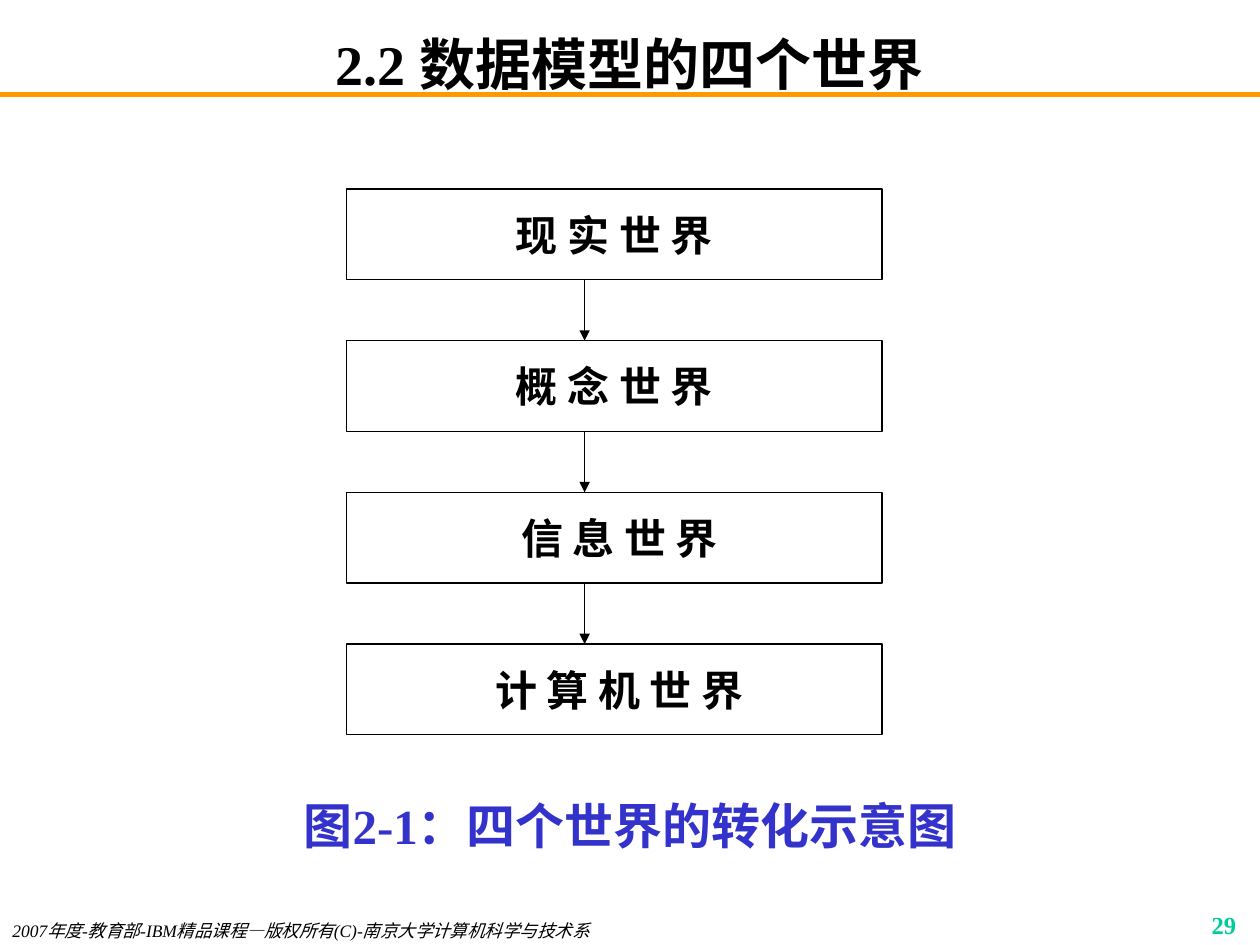
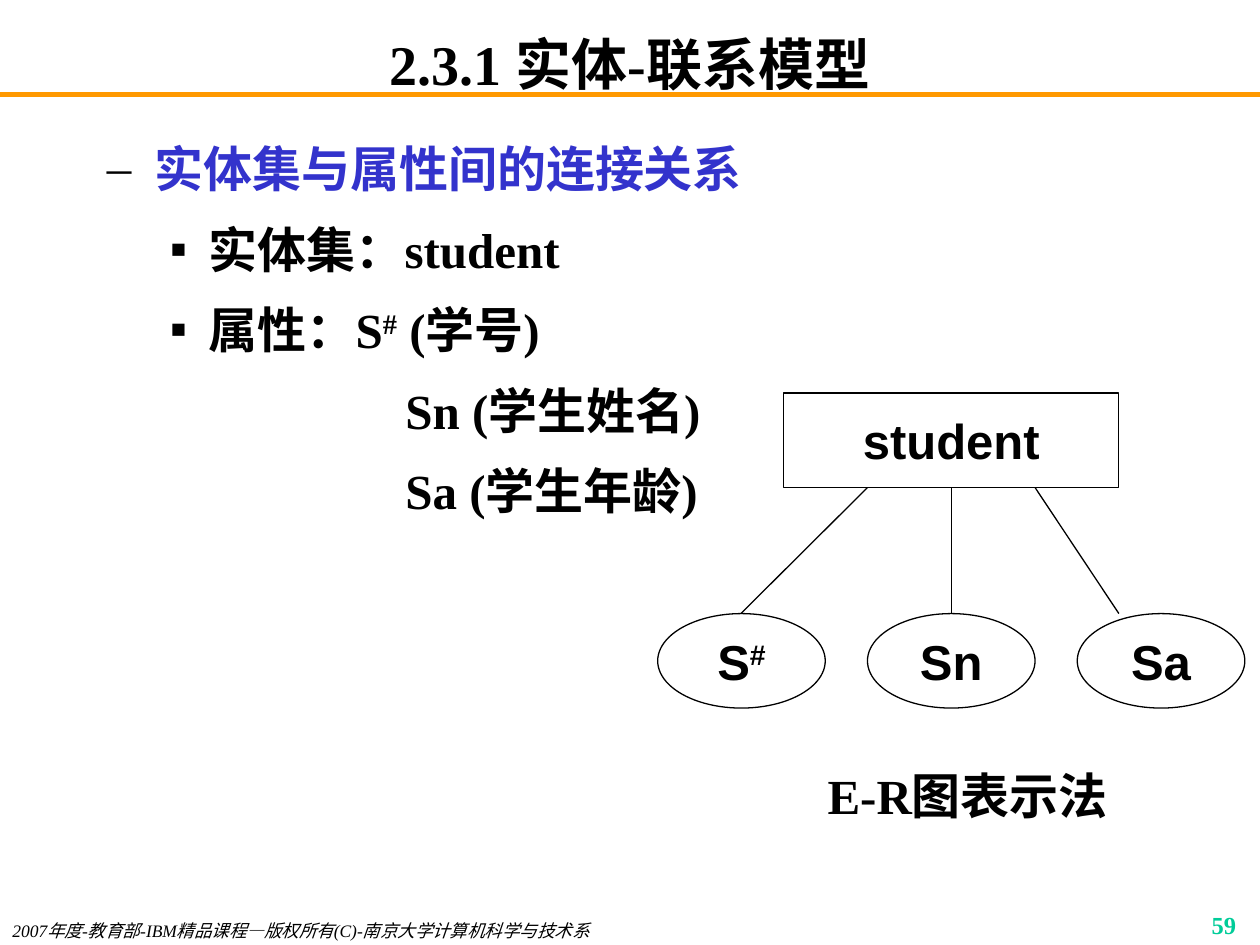
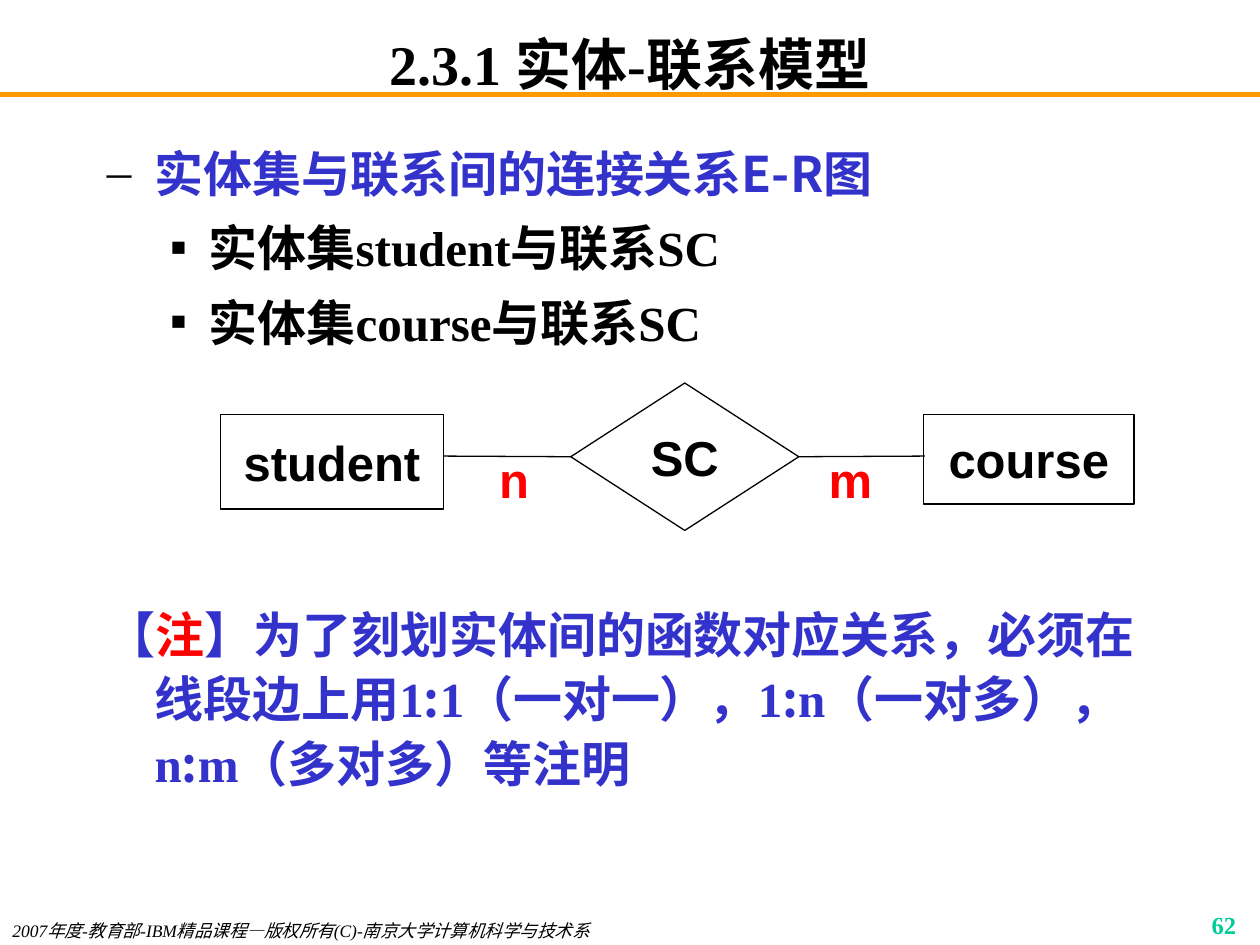
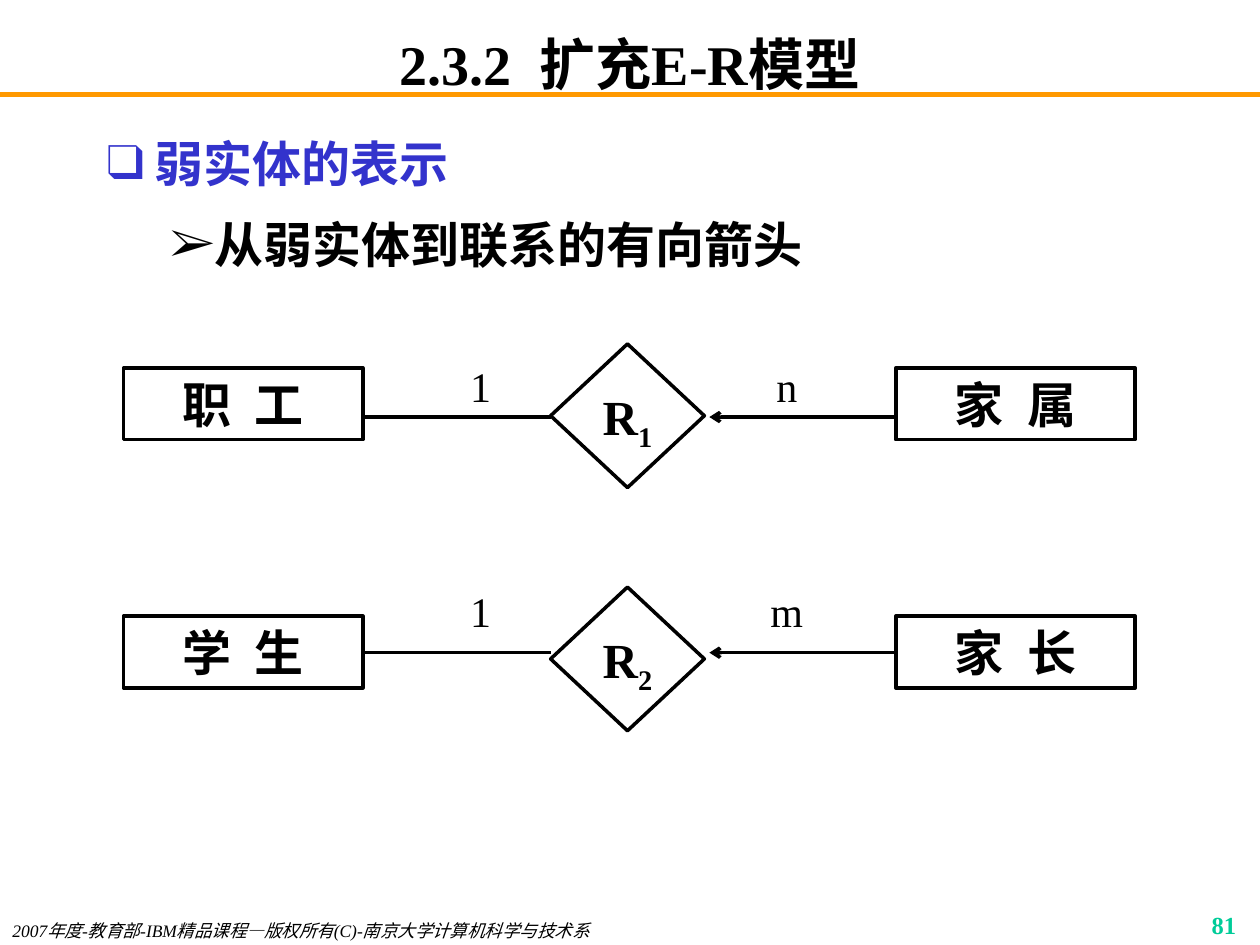
import dataclasses

import lxml.etree
import pptx
import pptx.dml.color
import pptx.enum.shapes
import pptx.enum.text
import pptx.oxml.ns
import pptx.util

SHAPE = pptx.enum.shapes.MSO_SHAPE
ALIGN = pptx.enum.text.PP_ALIGN
ANCHOR = pptx.enum.text.MSO_ANCHOR
COLS, ROWS = 100, 75


@dataclasses.dataclass(frozen=True)
class Theme:
    black: str = "000000"
    white: str = "FFFFFF"
    blue: str = "3333CC"
    red: str = "FF0000"
    green: str = "00CC99"
    orange: str = "FF9900"
    serif: str = "Times New Roman"
    sans: str = "Arial"
    han: str = "Noto Sans CJK SC"
    title: int = 32
    body: int = 28
    label: int = 24
    page: int = 14
    foot: int = 10
    thin: float = 0.75
    thick: float = 2
    band: float = 3


THEME = Theme()
HAN = {"face": THEME.han}
SERIF = {"face": THEME.serif}
SANS = {"face": THEME.sans}
FOOT = "2007年度-教育部-IBM精品课程—版权所有(C)-南京大学计算机科学与技术系"
# Indents are in grid columns.
HANG = {"left": 3.8, "hang": -3.8}
TOP = {**HANG, "bullet": "–", "color": THEME.blue, "tint": THEME.black}
SUB = {"left": 8.1, "hang": -3.1, "bullet": "▪", "tint": THEME.black}


def tint(text):
    return pptx.dml.color.RGBColor.from_string(text)


def node(parent, tag, **attrs):
    return lxml.etree.SubElement(parent, pptx.oxml.ns.qn(tag), **attrs)


def gap(left, right, size):
    """Return runs parted by a space of double width."""
    return [left, (" ", {"spread": size / 4}), right]


def put(par, text, size=THEME.body, color=THEME.black, face=THEME.serif,
        bold=True, italic=False, base=0, spread=0):
    """Add one run; base is its rise in percent, spread its tracking in points."""
    run = par.add_run()
    run.text = text
    font = run.font
    font.size, font.bold, font.italic = pptx.util.Pt(size), bold, italic
    font.color.rgb = tint(color)
    font.name = face
    props = run._r.get_or_add_rPr()
    node(props, "a:ea", typeface=THEME.han)
    if base:
        props.set("baseline", str(base * 1000))
    if spread:
        props.set("spc", str(round(spread * 100)))


class Deck:
    """Hold the style and the current slide; lengths are grid columns and rows."""

    def __init__(self):
        self.show = pptx.Presentation()
        self.show.slide_width = pptx.util.Inches(10)
        self.show.slide_height = pptx.util.Inches(7.5)
        self.slide = None

    def across(self, cols):
        return round(self.show.slide_width * cols / COLS)

    def down(self, rows):
        return round(self.show.slide_height * rows / ROWS)

    def place(self, box):
        left, top, width, height = box
        return (self.across(left), self.down(top),
                self.across(width), self.down(height))

    def page(self, title, number):
        self.slide = self.show.slides.add_slide(self.show.slide_layouts[6])
        self.line((0, 7.5), (COLS, 7.5), color=THEME.orange, width=THEME.band)
        self.text((7.5, 2.5, 85, 5), title, anchor=ANCHOR.MIDDLE, pad=(1, 0),
                  size=THEME.title, align=ALIGN.CENTER)
        self.text((0, 72.5, 55, 2.5), FOOT,
                  size=THEME.foot, bold=False, italic=True)
        self.text((78.3, 71.7, 20.8, 2.5), str(number),
                  size=THEME.page, color=THEME.green, align=ALIGN.RIGHT)

    def typeset(self, frame, *paras, **fmt):
        """Fill a frame; a paragraph is a string, a list of runs, or a dict
        of "runs" with its own format; a run is a string or (string, format)."""
        for i, item in enumerate(paras):
            look = {**fmt, **item} if isinstance(item, dict) else {**fmt, "runs": item}
            runs = look.pop("runs")
            par = frame.paragraphs[0] if i == 0 else frame.add_paragraph()
            par.alignment = look.pop("align", ALIGN.LEFT)
            par.line_spacing = look.pop("lead", None)
            before = look.pop("before", 0)
            par.space_before = pptx.util.Pt(before if i else 0)
            props = par._p.get_or_add_pPr()
            props.set("marL", str(self.across(look.pop("left", 0))))
            props.set("indent", str(self.across(look.pop("hang", 0))))
            mark, shade = look.pop("bullet", None), look.pop("tint", None)
            if mark and shade:
                node(node(props, "a:buClr"), "a:srgbClr", val=shade)
            if mark:
                node(props, "a:buFont", typeface=THEME.serif)
                node(props, "a:buChar", char=mark)
            for run in [runs] if isinstance(runs, str) else runs:
                words, extra = (run, {}) if isinstance(run, str) else run
                put(par, words, **{**look, **extra})

    def setup(self, frame, anchor, pad, wrap):
        frame.word_wrap = wrap
        frame.vertical_anchor = anchor
        frame.margin_left = frame.margin_right = self.across(pad[0])
        frame.margin_top = frame.margin_bottom = self.down(pad[1])

    def text(self, box, *paras, anchor=ANCHOR.TOP, pad=(1, 0.5), wrap=True, **fmt):
        frame = self.slide.shapes.add_textbox(*self.place(box)).text_frame
        self.setup(frame, anchor, pad, wrap)
        self.typeset(frame, *paras, **fmt)

    def shape(self, kind, box, words, fill=THEME.white, width=THEME.thin,
              anchor=ANCHOR.MIDDLE, wrap=True, **fmt):
        item = self.slide.shapes.add_shape(kind, *self.place(box))
        item.shadow.inherit = False
        if fill:
            item.fill.solid()
            item.fill.fore_color.rgb = tint(fill)
        else:
            item.fill.background()
        item.line.color.rgb = tint(THEME.black)
        item.line.width = pptx.util.Pt(width)
        self.setup(item.text_frame, anchor, (1, 0.5), wrap)
        self.typeset(item.text_frame, words, align=ALIGN.CENTER, **fmt)
        return item

    def line(self, start, end, color=THEME.black, width=THEME.thin,
             head=None, tail=None, begin=None, finish=None):
        """Draw a line; begin and finish are (shape, side) to join."""
        item = self.slide.shapes.add_connector(
            pptx.enum.shapes.MSO_CONNECTOR.STRAIGHT,
            self.across(start[0]), self.down(start[1]),
            self.across(end[0]), self.down(end[1]))
        item.line.color.rgb = tint(color)
        item.line.width = pptx.util.Pt(width)
        props = item._element.spPr
        stroke = props.find(pptx.oxml.ns.qn("a:ln"))
        for tag, kind in (("a:headEnd", head), ("a:tailEnd", tail)):
            if kind:
                node(stroke, tag, type=kind)
        node(props, "a:effectLst")
        if begin:
            item.begin_connect(*begin)
        if finish:
            item.end_connect(*finish)


def worlds(deck):
    deck.page("2.2 数据模型的四个世界", 29)
    deck.text((7.5, 61.7, 85, 8.3), "图2-1：四个世界的转化示意图",
              color=THEME.blue, align=ALIGN.CENTER, lead=1.2, **HANG)
    names = [("现 实 世 界", 0), ("概 念 世 界", 0),
             ("信 息 世 界", 0.8), ("计 算 机 世 界", 0.8)]
    top, high, step, mid = 15, 7.2, 12.04, 46.4
    for i, (name, left) in enumerate(names):
        y = top + i * step
        deck.shape(SHAPE.RECTANGLE, (27.5, y, 42.5, high), name,
                   size=THEME.label, left=left)
        if i:
            deck.line((mid, y - step + high), (mid, y), tail="triangle")


def fields(deck):
    deck.page("2.3.1 实体-联系模型", 59)
    deck.text(
        (7.5, 9.6, 85, 35.8),
        {"runs": "实体集与属性间的连接关系", **HAN, **TOP},
        {"runs": [("实体集：", HAN), "student"], **SUB},
        {"runs": [("属性：", HAN), "S", ("#", {"base": 30}), " (",
                  ("学号", HAN), ")"], **SUB},
        *({"runs": [code + " (", (name, HAN), ")"], "left": 23.7}
          for code, name in (("Sn", "学生姓名"), ("Sa", "学生年龄"))),
        lead=1.2, before=5.6)
    left, wide, foot, crown = 62.2, 26.6, 38.7, 48.7
    owner = deck.shape(SHAPE.RECTANGLE, (left, 31.2, wide, 7.5), "student", **SANS)
    names = [["S", ("#", {"base": 30})], "Sn", "Sa"]
    for i, (name, end) in enumerate(zip(names, (58.8, 75.5, 88.8))):
        deck.shape(SHAPE.OVAL, (52.2 + 16.65 * i, crown, 13.3, 7.5), name, **SANS)
        deck.line((left + wide * (i + 1) / 4, foot), (end, crown),
                  begin=(owner, 2) if i == 1 else None)
    deck.text((62.6, 60.3, 28.4, 5.7), "E-R图表示法", align=ALIGN.CENTER)


def links(deck):
    deck.page("2.3.1 实体-联系模型", 62)
    deck.text(
        (7.5, 10.4, 85, 17.5),
        {"runs": "实体集与联系间的连接关系E-R图", **HAN, **TOP},
        {"runs": [("实体集", HAN), "student与", ("联系", HAN), "SC"], **SUB},
        {"runs": [("实体集", HAN), "course", ("与联系", HAN), "SC"], **SUB},
        lead=1.1, before=5.6)
    deck.shape(SHAPE.RECTANGLE, (17.5, 32.9, 17.7, 7.5), "student", **SANS)
    hub = deck.shape(SHAPE.DIAMOND, (45.3, 30.4, 18.1, 11.7), "SC", wrap=False, **SANS)
    deck.shape(SHAPE.RECTANGLE, (73.3, 32.9, 16.7, 7.1), "course", **SANS)
    deck.line((35.2, 36.2), (45.3, 36.2), finish=(hub, 1))
    deck.line((63.4, 36.2), (73.4, 36.2), begin=(hub, 3))
    for left, name in ((38.3, "n"), (65, "m")):
        deck.text((left, 35.7, 5, 4.7), name, pad=(0, 0),
                  color=THEME.red, align=ALIGN.CENTER, **SANS)
    deck.text(
        (7.5, 47, 85, 15.8),
        ["【", ("注", {"color": THEME.red}),
         "】为了刻划实体间的函数对应关系，必须在线段边上用",
         ("1", SERIF), ":", ("1（一对一）", SERIF), "，",
         ("1", SERIF), ":", ("n（一对多）", SERIF), "，",
         ("n", SERIF), ":", ("m（多对多）", SERIF), "等注明"],
        color=THEME.blue, lead=1.1, **HAN, **HANG)


def weak(deck):
    deck.page(gap("2.3.2", "扩充E-R模型", THEME.title), 81)
    deck.text(
        (7.5, 9.2, 85, 14.2),
        {"runs": "弱实体的表示", **TOP, "bullet": "❑", "tint": None},
        {"runs": "从弱实体到联系的有向箭头", **SUB, "bullet": "➢", "tint": None},
        lead=1.2, before=5.6)
    bare = {"fill": None, "width": THEME.thick, "anchor": ANCHOR.TOP}
    # Tops of boxes, diamond and labels, then the height of the line.
    rows = [("职工", "家属", "1", "n", 29.2, 27.3, 28.1, 33.1),
            ("学生", "家长", "2", "m", 48.9, 46.6, 46, 51.8)]
    for owner, kin, mark, many, top, peak, tag, y in rows:
        for left, name in ((9.8, owner), (71.1, kin)):
            deck.shape(SHAPE.RECTANGLE, (left, top, 19, 5.7),
                       gap(*name, THEME.body), **bare)
        deck.shape(SHAPE.FLOWCHART_DECISION, (43.7, peak, 12.2, 11.4),
                   ["R", (mark, {"base": -25})], wrap=False, **bare)
        deck.line((28.9, y), (43.7, y), width=THEME.thick)
        deck.line((56.3, y), (71.1, y), width=THEME.thick, head="arrow")
        for left, name in ((35.8, "1"), (60.1, many)):
            deck.text((left, tag, 4.7, 5.8), name, wrap=False,
                      size=THEME.label, bold=False, align=ALIGN.CENTER)


def main():
    deck = Deck()
    for build in (worlds, fields, links, weak):
        build(deck)
    deck.show.save("out.pptx")


if __name__ == "__main__":
    main()
